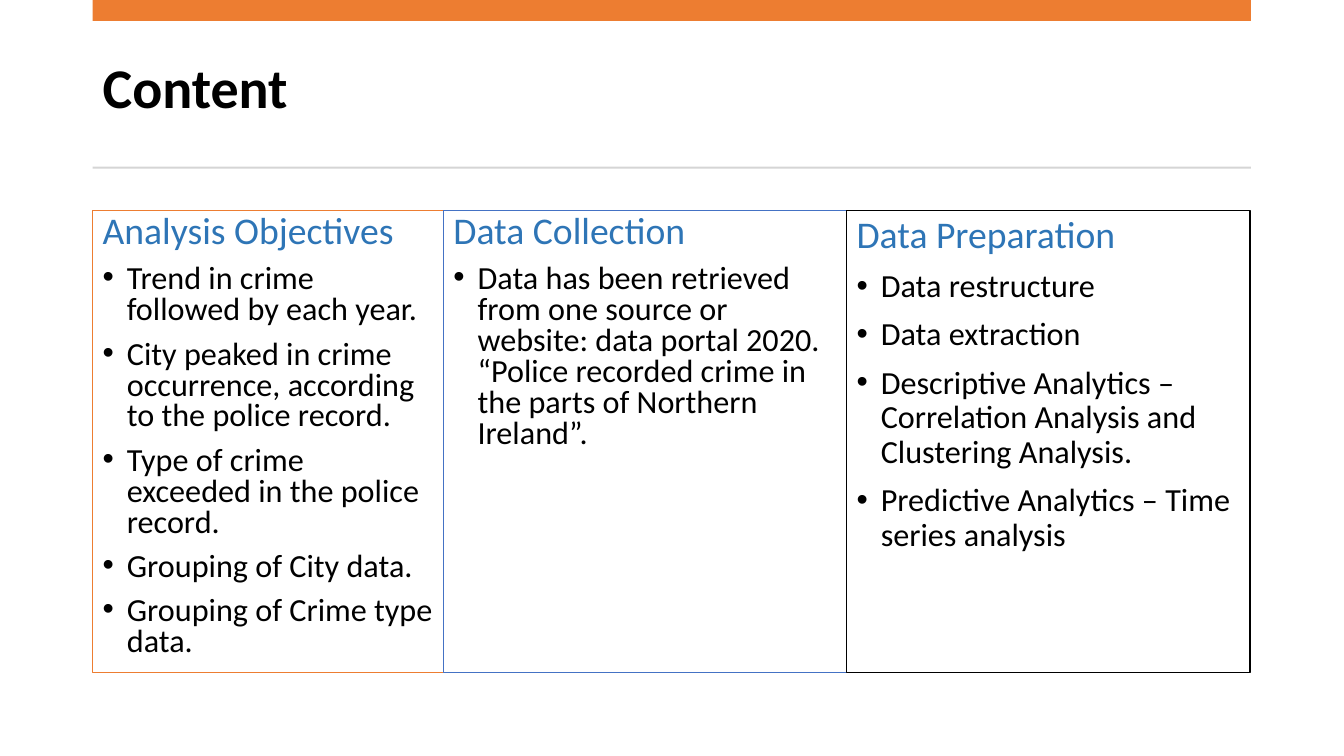
from lxml.etree import SubElement
from pptx import Presentation
from pptx.dml.color import RGBColor
from pptx.enum.shapes import MSO_SHAPE
from pptx.enum.text import MSO_ANCHOR, PP_ALIGN
from pptx.oxml.ns import qn
from pptx.util import Pt

ORANGE = RGBColor(0xED, 0x7D, 0x31)
BLUE = RGBColor(0x44, 0x72, 0xC4)
HEADING_BLUE = RGBColor(0x2E, 0x75, 0xB6)
GREY = RGBColor(0xD5, 0xD5, 0xD5)
BLACK = RGBColor(0, 0, 0)
WHITE = RGBColor(0xFF, 0xFF, 0xFF)

LEFT, WIDTH = 66.24, 827.28
PANEL_TOP, PANEL_HEIGHT = 150.5, 329.7
INDENT = 17.28

TITLE = {"size": Pt(40), "bold": True}
HEADING = {"size": Pt(26.9)}
BODY = {"size": Pt(23)}

# Width, outline, line spacing, heading, bullets
PANELS = [
    (250.56, ORANGE, 0.8, "Analysis Objectives", [
        "Trend in crime followed by each year.",
        "City peaked in crime occurrence, according to the police record.",
        "Type of crime exceeded in the police record.",
        "Grouping of City data.",
        "Grouping of Crime type data.",
    ]),
    (288, BLUE, 0.8, "Data Collection", [
        "Data has been retrieved from one source or website: data portal 2020. "
        "“Police recorded crime in the parts of Northern Ireland”.",
    ]),
    (288, BLACK, 0.9, "Data Preparation", [
        "Data restructure",
        "Data extraction",
        "Descriptive Analytics – Correlation Analysis and Clustering Analysis.",
        "Predictive Analytics – Time series analysis",
    ]),
]


def add_rect(s, x, y, w, h, fill, line=None):
    sp = s.shapes.add_shape(MSO_SHAPE.RECTANGLE, Pt(x), Pt(y), Pt(w), Pt(h))
    sp.shadow.inherit = False
    sp.fill.solid()
    sp.fill.fore_color.rgb = fill
    if line is None:
        sp.line.fill.background()
    else:
        sp.line.color.rgb = line
        sp.line.width = Pt(1)
    return sp


def write(p, text, font, color, spacing):
    p.alignment = PP_ALIGN.LEFT
    p.line_spacing = spacing
    r = p.add_run()
    r.text = text
    r.font.name = "Calibri"
    r.font.color.rgb = color
    for name, value in font.items():
        setattr(r.font, name, value)


def add_bullet(p):
    pPr = p._p.get_or_add_pPr()
    pPr.set("marL", str(Pt(INDENT)))
    pPr.set("indent", str(-Pt(INDENT)))
    SubElement(pPr, qn("a:buFont"), typeface="Arial")
    SubElement(pPr, qn("a:buChar"), char="•")


def add_title(s, text):
    sp = s.shapes.add_textbox(Pt(LEFT), Pt(22.3), Pt(WIDTH), Pt(85))
    tf = sp.text_frame
    tf.word_wrap = True
    tf.vertical_anchor = MSO_ANCHOR.MIDDLE
    write(tf.paragraphs[0], text, TITLE, BLACK, 0.9)


def add_panel(s, x, width, outline, spacing, heading, bullets):
    sp = add_rect(s, x, PANEL_TOP, width, PANEL_HEIGHT, WHITE, outline)
    tf = sp.text_frame
    tf.word_wrap = True
    tf.vertical_anchor = MSO_ANCHOR.TOP
    tf.margin_right = Pt(6)
    write(tf.paragraphs[0], heading, HEADING, HEADING_BLUE, spacing)
    for text in bullets:
        p = tf.add_paragraph()
        add_bullet(p)
        p.space_before = Pt(9.6)
        write(p, text, BODY, BLACK, spacing)


def main():
    prs = Presentation()
    prs.slide_width, prs.slide_height = Pt(960), Pt(540)
    s = prs.slides.add_slide(prs.slide_layouts[6])

    # Title with top band and rule
    add_title(s, "Content")
    add_rect(s, LEFT, 0, WIDTH, 15, ORANGE)
    add_rect(s, LEFT, 119, WIDTH, 1.44, GREY)

    # Three adjoining panels
    x = LEFT
    for panel in PANELS:
        add_panel(s, x, *panel)
        x += panel[0]

    prs.save("out.pptx")


if __name__ == "__main__":
    main()
